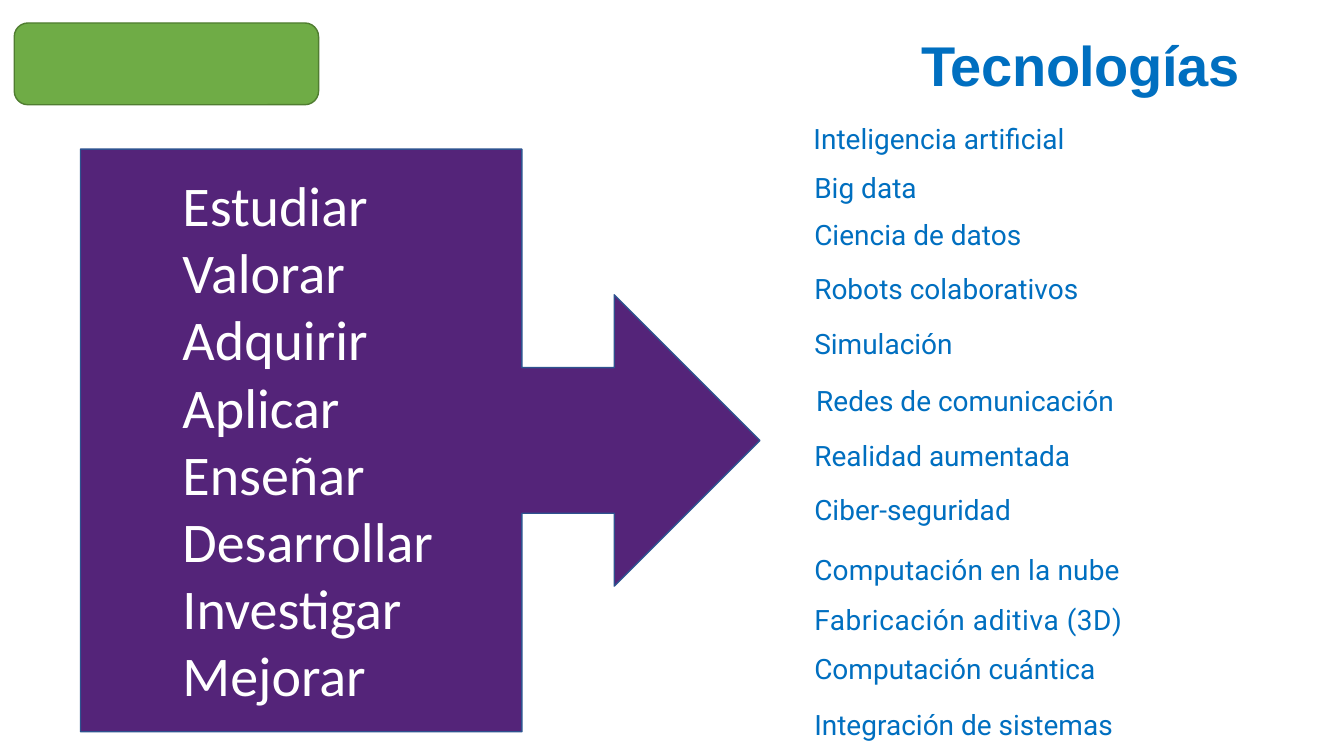
from dataclasses import dataclass

from lxml.etree import SubElement
from pptx import Presentation
from pptx.dml.color import RGBColor
from pptx.enum.shapes import MSO_SHAPE as Shape
from pptx.enum.text import MSO_ANCHOR as Anchor, MSO_AUTO_SIZE as AutoSize, PP_ALIGN as Align
from pptx.oxml.ns import qn
from pptx.util import Cm, Pt


@dataclass(frozen=True)
class Theme:
    blue: str = "006FC0"
    white: str = "FFFFFF"
    green: str = "6FAC46"
    green_line: str = "507D31"
    purple: str = "542479"
    purple_line: str = "2E528F"
    heading_font: str = "Arial"
    verb_font: str = "Calibri"
    list_font: str = "Roboto"
    large: int = 40
    small: int = 20


VERBS = ("Estudiar", "Valorar", "Adquirir", "Aplicar",
         "Enseñar", "Desarrollar", "Investigar", "Mejorar")

# Text, space before in points, left margin in cm, letter spacing in points
TECHNOLOGIES = (
    ("Inteligencia artificial", 0, 0.03, 0),
    ("Big data", 11.5, 0.05, 0),
    ("Ciencia de datos", 9.5, 0.05, 0),
    ("Robots colaborativos", 14.5, 0.05, 0),
    ("Simulación", 15.5, 0.05, 0),
    ("Redes de comunicación", 16.5, 0.1, 0),
    ("Realidad aumentada", 15, 0.05, 0),
    ("Ciber-seguridad", 15, 0.05, 0),
    ("Computación en la nube", 18.5, 0.05, 0.1),
    ("Fabricación aditiva (3D)", 11.5, 0.05, 0.4),
    ("Computación cuántica", 11.5, 0.05, 0),
    ("Integración de sistemas", 16, 0.05, 0),
)


class PageBuilder:
    def __init__(self, page, theme):
        self.page = page
        self.theme = theme

    def place(self, box, left, top, width, height):
        box.left, box.top, box.width, box.height = map(Cm, (left, top, width, height))

    def prepare_frame(self, box, top_inset=0):
        frame = box.text_frame
        frame.word_wrap = True
        frame.auto_size = AutoSize.NONE
        frame.vertical_anchor = Anchor.TOP
        frame.margin_left = frame.margin_right = frame.margin_bottom = 0
        frame.margin_top = Cm(top_inset)
        return frame

    def style(self, para, font, size, color, bold=False, tracking=0):
        para.alignment = Align.LEFT
        para.font.name = font
        para.font.size = Pt(size)
        para.font.bold = bold
        para.font.color.rgb = RGBColor.from_string(color)
        if tracking:
            for span in para.runs:
                span.font._element.set("spc", str(round(tracking * 100)))

    def shape(self, kind, bounds, fill, line):
        shape = self.page.shapes.add_shape(kind, *map(Cm, bounds))
        shape.shadow.inherit = False
        shape.fill.solid()
        shape.fill.fore_color.rgb = RGBColor.from_string(fill)
        shape.line.color.rgb = RGBColor.from_string(line)
        shape.line.width = Pt(1)
        return shape

    def title(self, text, bounds):
        box = self.page.shapes.title
        self.place(box, *bounds)
        para = self.prepare_frame(box, 0.03).paragraphs[0]
        para.text = text
        self.style(para, self.theme.heading_font, self.theme.large, self.theme.blue,
                   bold=True, tracking=-0.3)

    def verbs(self, verbs, bounds):
        box = self.page.shapes.add_textbox(*map(Cm, bounds))
        frame = self.prepare_frame(box)
        frame.text = "\n".join(verbs)
        for para in frame.paragraphs:
            para.line_spacing = Pt(48)
            self.style(para, self.theme.verb_font, self.theme.large, self.theme.white)

    def technologies(self, items, bounds):
        box = self.page.placeholders[1]
        self.place(box, *bounds)
        frame = self.prepare_frame(box, 0.43)
        frame.text = "\n".join(item[0] for item in items)
        for para, (_, space, margin, tracking) in zip(frame.paragraphs, items):
            para.space_before = Pt(space)
            properties = para._p.get_or_add_pPr()
            properties.set("marL", str(Cm(margin)))
            properties.set("indent", "0")
            SubElement(properties, qn("a:buNone"))
            self.style(para, self.theme.list_font, self.theme.small, self.theme.blue,
                       tracking=tracking)


def main():
    deck = Presentation()
    deck.slide_width, deck.slide_height = Cm(33.87), Cm(19.05)
    theme = Theme()
    builder = PageBuilder(deck.slides.add_slide(deck.slide_layouts[1]), theme)

    builder.shape(Shape.ROUNDED_RECTANGLE, (0.36, 0.58, 7.67, 2.06),
                  theme.green, theme.green_line)
    builder.shape(Shape.RIGHT_ARROW_CALLOUT, (2.03, 3.76, 17.12, 14.68),
                  theme.purple, theme.purple_line)
    builder.verbs(VERBS, (4.6, 4.3, 6.6, 13.6))
    builder.technologies(TECHNOLOGIES, (20.47, 2.62, 8.2, 15.95))
    builder.title("Tecnologías", (23.22, 0.74, 8.6, 1.75))
    deck.save("out.pptx")


if __name__ == "__main__":
    main()
